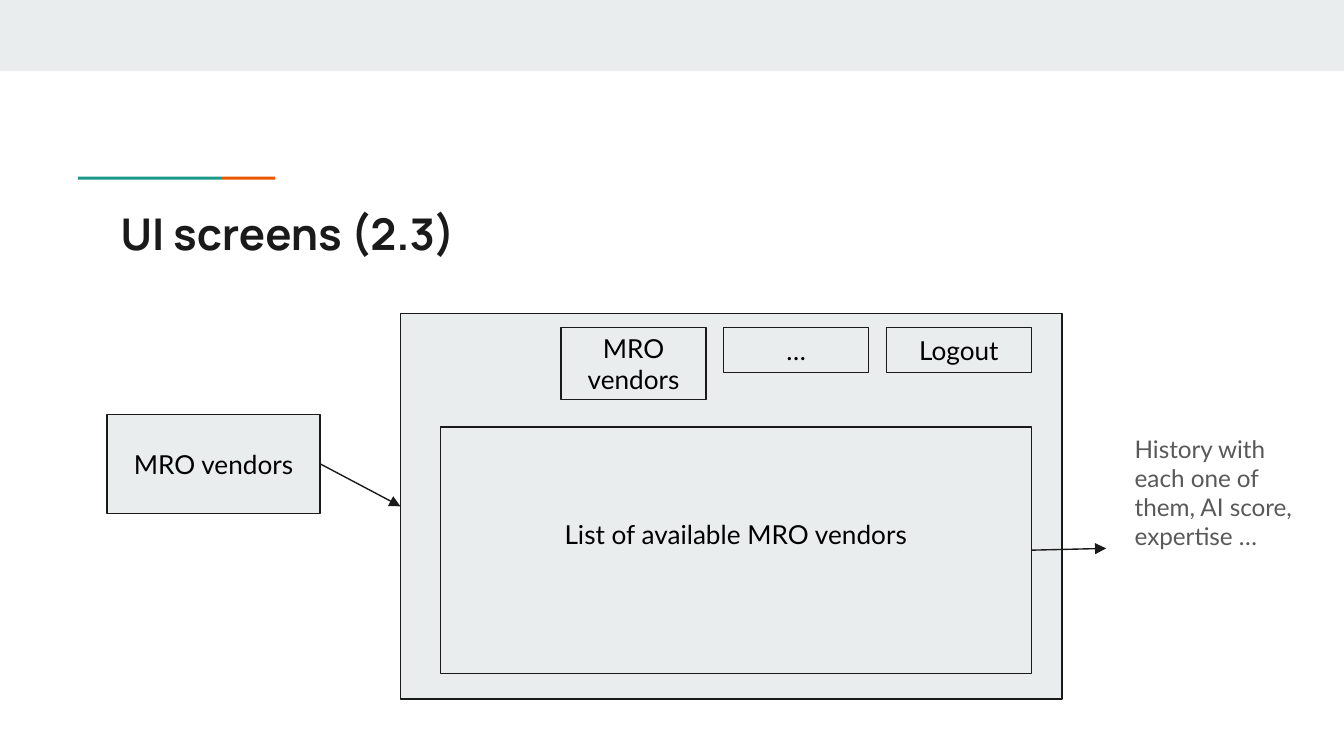
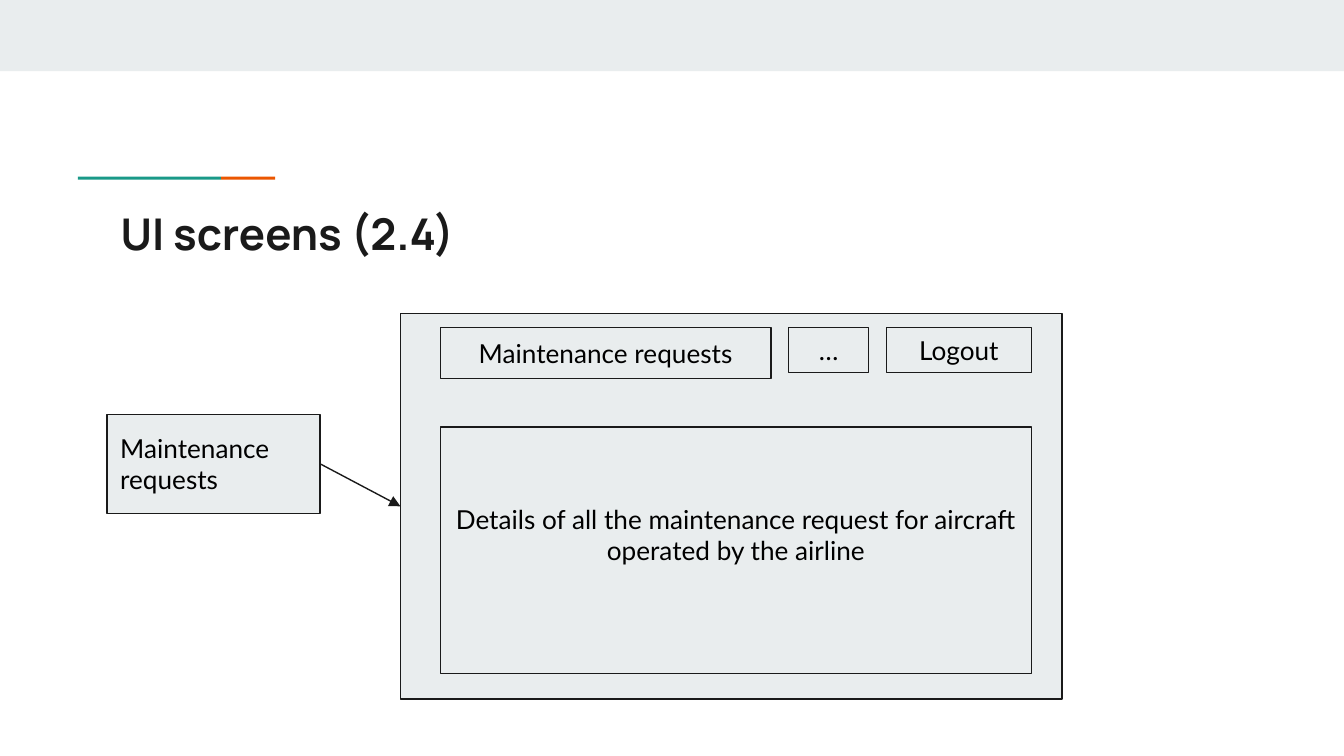
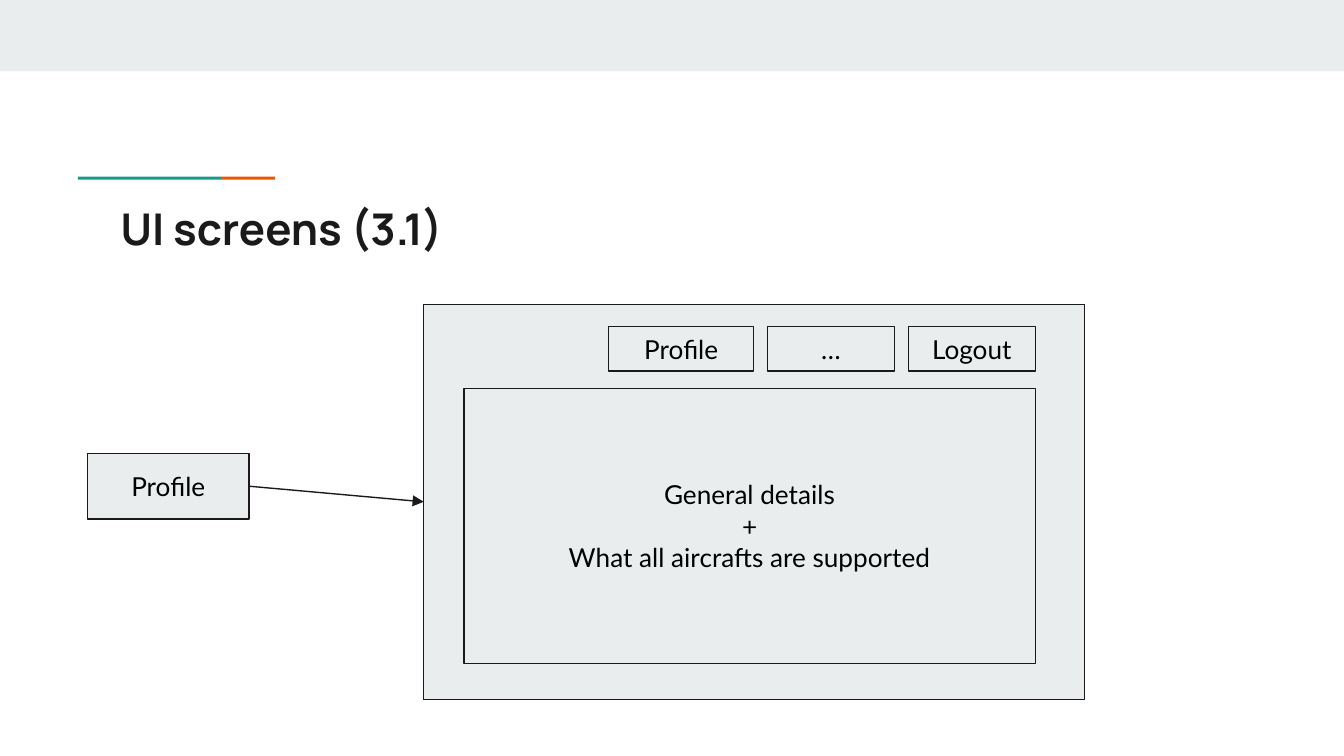
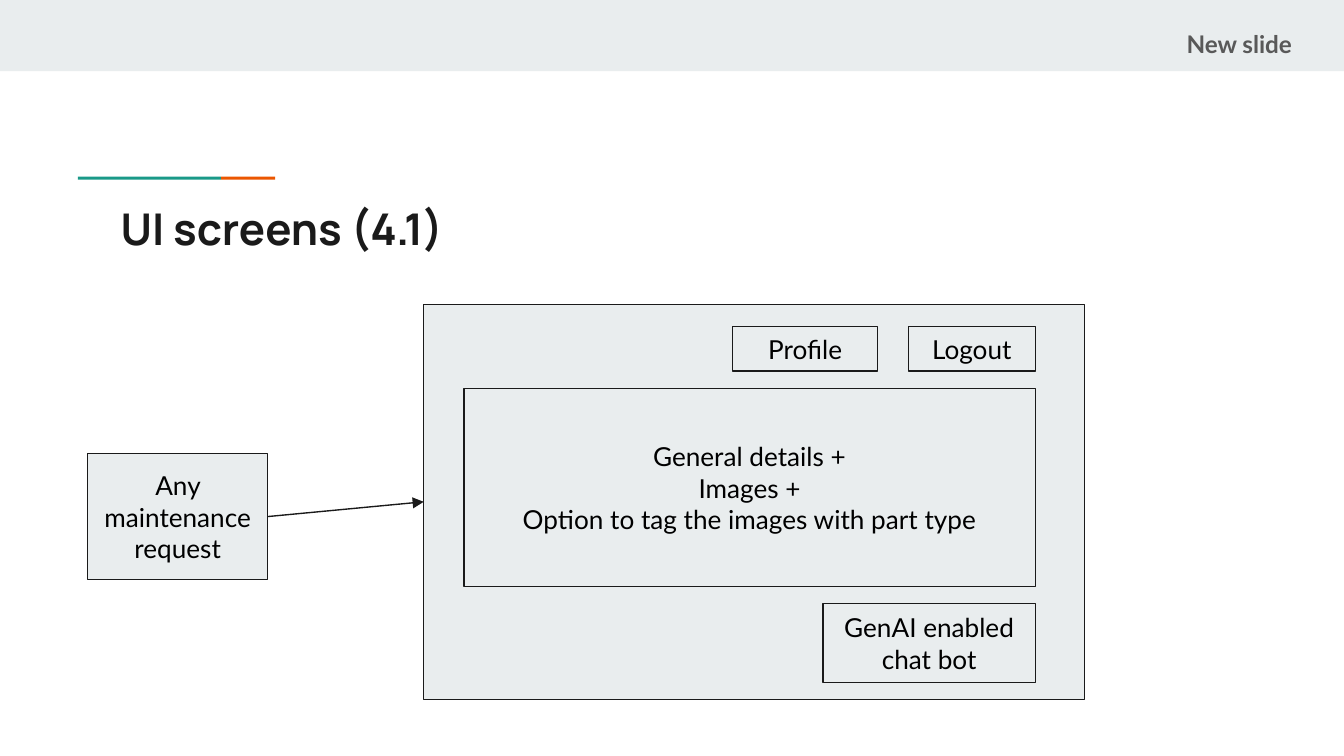
from pptx import Presentation
from pptx import util as u
from pptx.dml import color
from pptx.enum import shapes, text
from pptx.oxml import ns
from lxml import etree

Pt = u.Pt
INK, PALE, TEAL, RUST = "1A1A1A", "E9EDEE", "1A9988", "EB5600"
BLACK, GREY = "000000", "595959"
LEFT, MID = text.PP_ALIGN.LEFT, text.PP_ALIGN.CENTER
INSET = 7.2


def tint(code):
    return color.RGBColor.from_string(code)


def write(shape, words, size=14, face="Lato", ink=BLACK, bold=False,
          align=LEFT, anchor=text.MSO_ANCHOR.TOP, lift=0):
    frame = shape.text_frame
    frame.word_wrap = True
    frame.vertical_anchor = anchor
    frame.margin_left = frame.margin_right = frame.margin_top = Pt(INSET)
    frame.margin_bottom = Pt(INSET + lift)
    for i, line in enumerate(words.split("\n")):
        para = frame.paragraphs[0] if i == 0 else frame.add_paragraph()
        para.text = line
        para.alignment = align
        font = para.font
        font.size, font.name, font.bold = Pt(size), face, bold
        font.color.rgb = tint(ink)


def label(slide, box, words, **style):
    write(slide.shapes.add_textbox(*map(Pt, box)), words, **style)


def block(slide, box, fill=PALE, edge=None):
    shape = slide.shapes.add_shape(shapes.MSO_SHAPE.RECTANGLE, *map(Pt, box))
    shape.shadow.inherit = False
    shape.fill.solid()
    shape.fill.fore_color.rgb = tint(fill)
    if edge:
        shape.line.color.rgb = tint(edge)
        shape.line.width = Pt(0.75)
    else:
        shape.line.fill.background()
    return shape


def card(slide, box, words="", align=MID, lift=0):
    shape = block(slide, box, edge=INK)
    if words:
        write(shape, words, align=align, anchor=text.MSO_ANCHOR.MIDDLE, lift=lift)


def arrow(slide, start, end):
    link = slide.shapes.add_connector(
        shapes.MSO_CONNECTOR.STRAIGHT, *map(Pt, start + end))
    link.line.color.rgb = tint(INK)
    link.line.width = Pt(0.75)
    etree.SubElement(link.line._get_or_add_ln(), ns.qn("a:tailEnd"), type="triangle")
    etree.SubElement(link._element.spPr, ns.qn("a:effectLst"))


def west(box):
    x, y, w, h = box
    return x, y + h / 2


def east(box):
    x, y, w, h = box
    return x + w, y + h / 2


def base(deck, title, top):
    slide = deck.slides.add_slide(deck.slide_layouts[6])
    block(slide, (0, 0, 720, 38.1))
    block(slide, (41.8, 94.7, 76.6, 1.6), TEAL)
    block(slide, (118.4, 94.7, 29, 1.6), RUST)
    label(slide, (57.6, top, 605.5, 42.5), title,
          size=23.4, face="Manrope", ink=INK, bold=True)
    return slide


def menu(slide, right, top, gap, items):
    for words, wide, high in reversed(items):
        card(slide, (right - wide, top, wide, high), words)
        right -= wide + gap


def screen(slide, box, items, body, high, gap, pad, lift=0):
    x, y, w, h = box
    side, top, drop = pad
    card(slide, box)
    menu(slide, x + w - side, y + top, gap, items)
    main = (x + 21.5, y + drop, w - 21.5 - side, high)
    card(slide, main, body, lift=lift)
    return main


def airline(deck, title, source, align, items, body):
    slide = base(deck, title, 103.7)
    start, box = (57.3, 222, 114.2, 53), (214.5, 168, 354.5, 206.5)
    card(slide, start, source, align)
    main = screen(slide, box, items, body, 132, 9.4, (16.5, 7.5, 60.75), 16.8)
    arrow(slide, east(start), west(box))
    return slide, main


def vendor(deck, title, source, size, items, gap, body, high):
    slide = base(deck, title, 100.8)
    start, box = (47, 243) + size, (227, 163, 354, 211.7)
    main = screen(slide, box, items, body, high, gap, (26.4, 11.8, 45))
    card(slide, start, source)
    arrow(slide, east(start), west(box))
    return slide, main


def main():
    deck = Presentation()
    deck.slide_width, deck.slide_height = Pt(720), Pt(405)
    wide, slim, high = 77.7, 68, 24
    leave = ("Logout", wide, high)
    small = ("Logout", slim, high)
    user = ("Profile", wide, high)

    slide, body = airline(
        deck, "UI screens (2.3)", "MRO vendors", MID,
        [("MRO vendors", wide, 38.6), ("…", wide, high), leave],
        "List of available MRO vendors")
    arrow(slide, east(body), (592.6, 293.8))
    label(slide, (600.8, 225.4, 104.4, 80.6),
          "History with each one of them, AI score, expertise …",
          size=13, ink=GREY)

    airline(
        deck, "UI screens (2.4)", "Maintenance requests", LEFT,
        [("Maintenance requests", 177, 27.2), ("…", 43, high), leave],
        "Details of all the maintenance request for aircraft operated by the airline")

    vendor(
        deck, "UI screens (3.1)", "Profile", (86.4, 35),
        [user, ("…", slim, high), small], 7.4,
        "General details\n+\nWhat all aircrafts are supported", 147.4)

    slide, body = vendor(
        deck, "UI screens (4.1)", "Any maintenance request", (96.4, 67.5),
        [user, small], 16.4,
        "General details +\nImages +\nOption to tag the images with part type", 106.4)
    x, y, w, h = body
    card(slide, (x + w - 113.6, y + h + 9, 113.6, 42.4), "GenAI enabled chat bot")
    label(slide, (628.6, 8.6, 80, 30.2), "New slide", size=13, ink=GREY, bold=True)

    deck.save("out.pptx")


if __name__ == "__main__":
    main()
